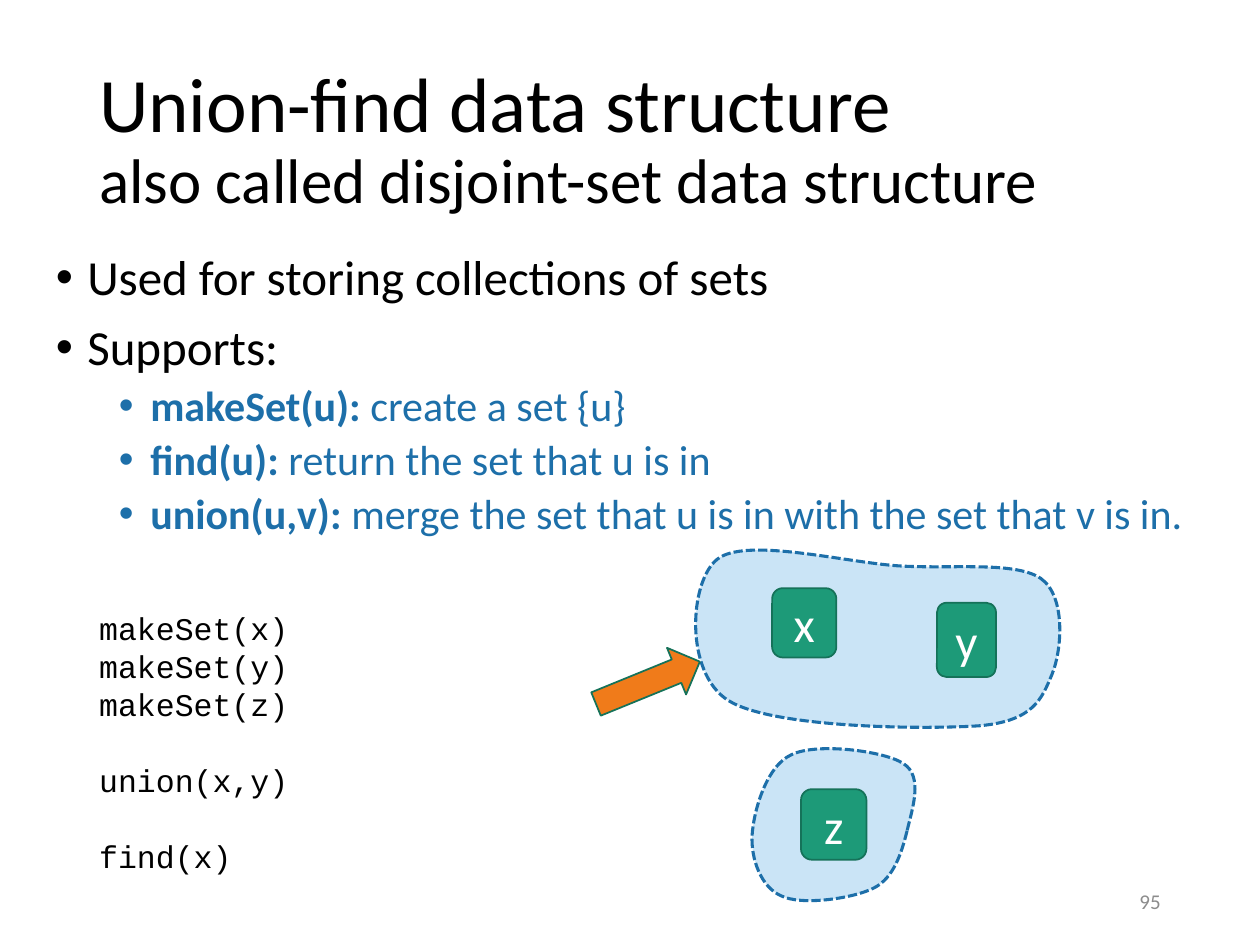
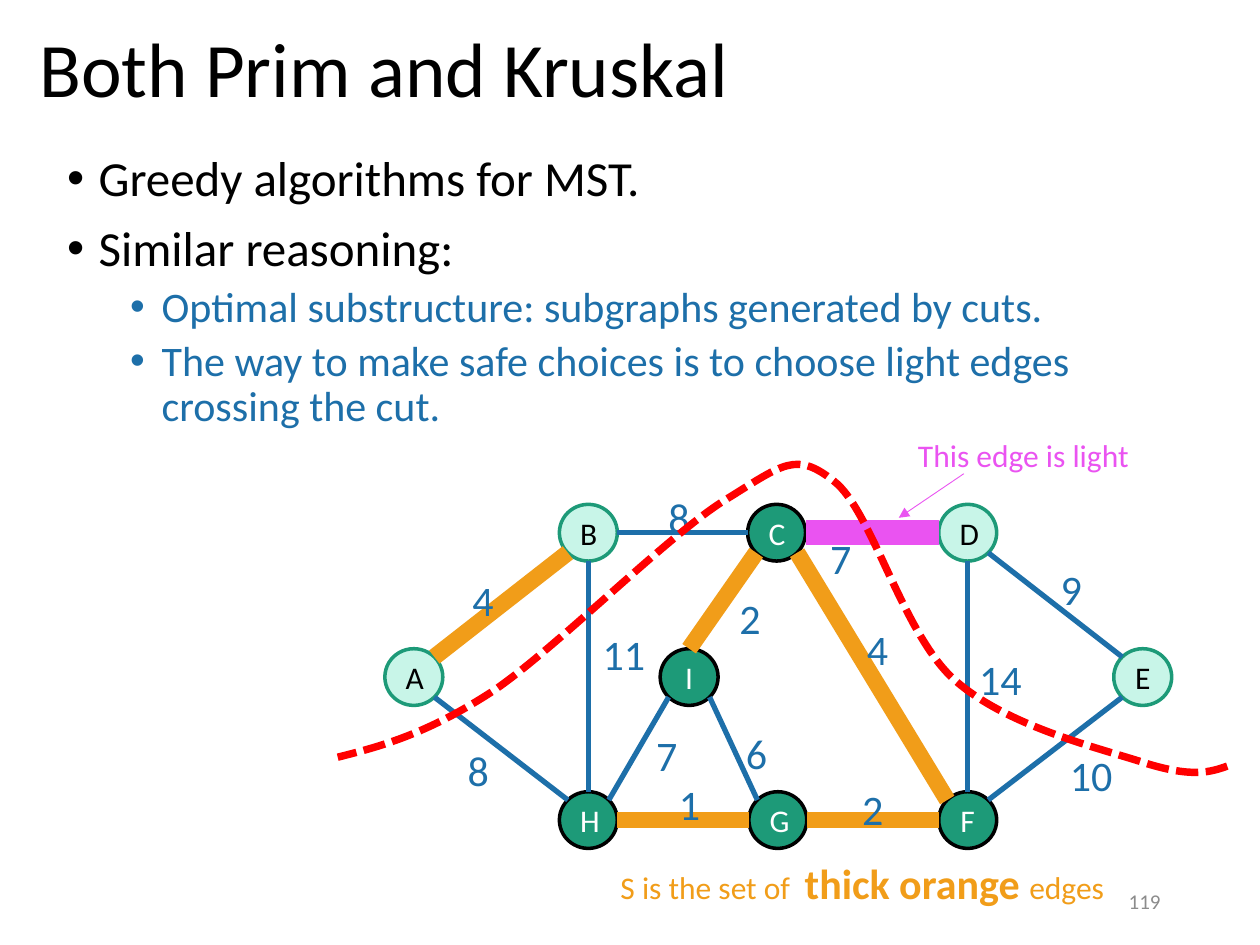
from math import sqrt

from lxml.etree import SubElement
from pptx import Presentation
from pptx.dml.color import RGBColor
from pptx.enum.dml import MSO_LINE
from pptx.enum.shapes import MSO_CONNECTOR, MSO_SHAPE
from pptx.enum.text import MSO_ANCHOR as ANCHOR, PP_ALIGN as ALIGN
from pptx.oxml.ns import qn
from pptx.util import Pt

BLACK, WHITE, GRAY = "000000", "FFFFFF", "8C8C8C"
BLUE, PALE_BLUE = "1D6FA9", "CAE4F6"
GREEN, DARK_GREEN, MINT = "1D9A78", "157259", "C8F5E8"
ORANGE, ARROW_ORANGE, PINK, RED = "F19D19", "F07B1A", "EA53F1", "FF0000"
FONT, CODE_FONT = "Calibri", "Courier New"

# Bullets: (level, [(text, bold), ...])
UNION_FIND = {
    "title": [("Union-find data structure\n", 44), ("also called disjoint-set data structure", 36)],
    "title_box": (49.6, 28.8, 620.6, 104.4),
    "bullets": [
        (0, [("Used for storing collections of sets", False)]),
        (0, [("Supports:", False)]),
        (1, [("makeSet(u): ", True), ("create a set {u}", False)]),
        (1, [("find(u): ", True), ("return the set that u is in", False)]),
        (1, [("union(u,v): ", True),
             ("merge the set that u is in with the set that v is in.", False)]),
    ],
    "body_box": (24.8, 141.1, 670.3, 342.7),
    "number": "95",
}
PRIM_KRUSKAL = {
    "title": [("Both Prim and Kruskal", 44)],
    "title_box": (15.4, -10.8, 620.6, 104.4),
    "bullets": [
        (0, [("Greedy algorithms for MST.", False)]),
        (0, [("Similar reasoning:", False)]),
        (1, [("Optimal substructure: subgraphs generated by cuts.", False)]),
        (1, [("The way to make safe choices is to choose light edges crossing the cut.", False)]),
    ],
    "body_box": (31.3, 84.5, 635, 342.7),
    "number": "119",
}
NUMBER_BOX = (508.3, 500.4, 162, 28.8)

CODE_BLOCKS = [["makeSet(x)", "makeSet(y)", "makeSet(z)"], ["union(x,y)"], ["find(x)"]]
CODE_BOX = (49.6, 344.2, 283, 159.8)
CODE_LINE = 21.7
MEMBERS = {
    "x": (441.2, 336.1, 36.7, 39.6),
    "y": (535.4, 344.4, 33.8, 42.5),
    "z": (457.7, 451, 37.4, 40.3),
}
POINTER_BOX, POINTER_ANGLE = (338.2, 375.8, 64.1, 28.8), 337.8

# Curves: a start point, then two control points and an end point per piece
SET_XY = [
    (594.7, 330.5),
    (609.1, 340.6), (607, 370.8), (601.2, 385.2),
    (595.4, 398.9), (591.1, 411.8), (560.2, 414.7),
    (529.2, 416.9), (441.4, 416.2), (416.2, 400.3),
    (391, 384.5), (393.8, 332.6), (409.7, 319.7),
    (425.5, 306.7), (481.7, 321.1), (512.6, 323.3),
    (542.9, 325.4), (579.6, 320.4), (594.7, 330.5),
]
SET_Z = [
    (518.4, 474.5),
    (521.3, 462.2), (527.8, 443.5), (516.2, 436.3),
    (505.4, 429.1), (466.6, 424.1), (452.2, 431.3),
    (437.8, 437.8), (430.6, 463.7), (429.8, 477.4),
    (429.1, 491), (434.9, 506.9), (446.4, 511.9),
    (457.9, 517.7), (487.4, 513.4), (499, 507.6),
    (511.2, 501.8), (515.5, 486), (518.4, 474.5),
]
CUT = [
    (701.3, 437.8),
    (691.2, 441.4), (681.1, 444.2), (655.2, 436.3),
    (629.3, 427.7), (575.3, 415.4), (545, 388.1),
    (515.5, 361.4), (498.2, 291.6), (476.6, 275),
    (455, 257.8), (447.8, 265), (415.4, 285.1),
    (383, 304.6), (319, 369.4), (282.2, 394.6),
    (244.8, 419), (218.9, 426.2), (193, 432.7),
]

TOP, MIDDLE, BOTTOM = 304.4, 386.9, 468.6
NODES = {
    "D": (553, TOP), "C": (443.8, TOP), "B": (336.2, TOP),
    "A": (236.5, MIDDLE), "I": (393.8, MIDDLE), "E": (653, MIDDLE),
    "H": (336.2, BOTTOM), "G": (444.5, BOTTOM), "F": (553, BOTTOM),
}
DARK_SIDE = "CIHGF"
NODE_W, NODE_H = 33.1, 32.4
EDGE_STYLES = {"plain": (BLUE, 3), "chosen": (ORANGE, 9.5), "light": (PINK, 14)}
# (node, side, node, side, style, weight, weight position)
EDGES = [
    ("C", "se", "F", "nw", "chosen", "4", (488.2, 352.8)),
    ("C", "e", "D", "w", "light", "7", (467.3, 301)),
    ("E", "nw", "D", "se", "plain", "9", (599, 318.4)),
    ("E", "sw", "F", "ne", "plain", "10", (604.3, 424.8)),
    ("D", "s", "F", "n", "plain", "14", (552.4, 370.1)),
    ("I", "se", "G", "nw", "plain", "6", (419.2, 412.4)),
    ("G", "e", "F", "w", "chosen", "2", (485.5, 444.2)),
    ("I", "n", "C", "sw", "chosen", "2", (415.4, 334.8)),
    ("B", "e", "C", "w", "plain", "8", (374.9, 277.2)),
    ("A", "ne", "B", "sw", "chosen", "4", (262.8, 324.7)),
    ("A", "se", "H", "nw", "plain", "8", (260.1, 421.9)),
    ("G", "w", "H", "e", "chosen", "1", (380.9, 441.6)),
    ("I", "sw", "H", "ne", "plain", "7", (367.9, 413.3)),
    ("H", "n", "B", "s", "plain", "11", (337.2, 355.7)),
]
WEIGHT_SIZE = (46.8, 26.6)
# (text, size, bold, extra letter spacing)
LEGEND = [
    ("S is the set of", 18, False, 0),
    (" ", 18, False, 4.1),
    ("thick orange ", 24, True, 0),
    ("edges", 18, False, 0),
]
LEGEND_BOX = (347.5, 486.7, 357.8, 36)
LIGHT_NOTE, LIGHT_BOX = "This edge is light", (517.5, 245.5, 196.6, 28.8)
LIGHT_ARROW = (550.8, 270.7), (513.6, 295.9)


def rgb(color):
    return RGBColor.from_string(color)


def pts(values):
    return [Pt(v) for v in values]


def add_run(p, text, size, color=BLACK, bold=False, font=FONT):
    """Add a run; a newline at its end becomes a line break."""
    r = p.add_run()
    r.text = text.rstrip("\n")
    for name, value in {"name": font, "size": Pt(size), "bold": bold}.items():
        setattr(r.font, name, value)
    r.font.color.rgb = rgb(color)
    if text.endswith("\n"):
        p.add_line_break()
    return r


def add_box(s, box, anchor=ANCHOR.TOP):
    tf = s.shapes.add_textbox(*pts(box)).text_frame
    tf.word_wrap = True
    tf.vertical_anchor = anchor
    return tf


def add_label(s, box, text, size, color):
    add_run(add_box(s, box).paragraphs[0], text, size, color)


def paragraphs(tf, items):
    """Yield each item with its own paragraph, starting with the empty first one."""
    for i, item in enumerate(items):
        yield (tf.add_paragraph() if i else tf.paragraphs[0]), item


def paint(sp, fill, line, width):
    sp.shadow.inherit = False
    if fill:
        sp.fill.solid()
        sp.fill.fore_color.rgb = rgb(fill)
    else:
        sp.fill.background()
    sp.line.color.rgb = rgb(line)
    sp.line.width = Pt(width)


def add_preset(s, kind, box, fill, line, width, text="", size=18, color=WHITE):
    sp = s.shapes.add_shape(kind, *pts(box))
    paint(sp, fill, line, width)
    if text:
        sp.text_frame.vertical_anchor = ANCHOR.MIDDLE
        p = sp.text_frame.paragraphs[0]
        p.alignment = ALIGN.CENTER
        add_run(p, text, size, color)
    return sp


def add_line(s, start, end, color, width):
    cx = s.shapes.add_connector(MSO_CONNECTOR.STRAIGHT, *pts(start + end))
    cx.line.color.rgb = rgb(color)
    cx.line.width = Pt(width)
    SubElement(cx._element.spPr, qn("a:effectLst"))
    return cx


def trace(points, steps=16):
    """Turn a chain of cubic curves into points along it."""
    traced = [points[0]]
    for i in range(0, len(points) - 1, 3):
        a, b, c, d = points[i:i + 4]
        for k in range(1, steps + 1):
            t = k / steps
            u = 1 - t
            traced.append(tuple(u**3 * a[j] + 3 * u * u * t * b[j] + 3 * u * t * t * c[j]
                                + t**3 * d[j] for j in (0, 1)))
    return traced


def add_dashed_curve(s, points, fill, line, width):
    """Size a freeform by the traced curve, then give it true cubic pieces."""
    start, *rest = [tuple(pts(xy)) for xy in trace(points)]
    builder = s.shapes.build_freeform(*start)
    builder.add_line_segments(rest, close=False)
    sp = builder.convert_to_shape()
    contour = next(sp._element.iter(qn("a:path")))
    del contour[:]
    for i, (x, y) in enumerate(points):
        if i == 0:
            piece = SubElement(contour, qn("a:moveTo"))
        elif i % 3 == 1:
            piece = SubElement(contour, qn("a:cubicBezTo"))
        SubElement(piece, qn("a:pt"), x=str(Pt(x) - sp.left), y=str(Pt(y) - sp.top))
    if fill:
        SubElement(contour, qn("a:close"))
    paint(sp, fill, line, width)
    sp.line.dash_style = MSO_LINE.SQUARE_DOT


def set_bullet(p, level):
    pPr = p._p.get_or_add_pPr()
    pPr.set("marL", str(Pt(18 + 36 * level)))
    pPr.set("indent", str(-Pt(18)))
    SubElement(pPr, qn("a:buFont"), typeface="Arial")
    SubElement(pPr, qn("a:buChar"), char="•")


def add_frame(s, content):
    """Add the title, bullets and slide number."""
    p = add_box(s, content["title_box"], ANCHOR.MIDDLE).paragraphs[0]
    p.line_spacing = 0.9
    for text, size in content["title"]:
        add_run(p, text, size)

    tf = add_box(s, content["body_box"])
    for p, (level, runs) in paragraphs(tf, content["bullets"]):
        set_bullet(p, level)
        p.level = level
        p.line_spacing = 0.9
        p.space_before = Pt(0 if p._p is tf.paragraphs[0]._p else (10, 5)[level])
        for text, bold in runs:
            add_run(p, text, (28, 24)[level], (BLACK, BLUE)[level], bold)

    p = add_box(s, NUMBER_BOX, ANCHOR.MIDDLE).paragraphs[0]
    p.alignment = ALIGN.RIGHT
    add_run(p, content["number"], 12, GRAY)


def site(node, side):
    """Point on a node's outline in a compass direction."""
    x, y = NODES[node]
    dx = ("e" in side) - ("w" in side)
    dy = ("s" in side) - ("n" in side)
    reach = sqrt(dx * dx + dy * dy) * 2
    return x + dx * NODE_W / reach, y + dy * NODE_H / reach


def build_union_find(s):
    for outline in (SET_XY, SET_Z):
        add_dashed_curve(s, outline, PALE_BLUE, BLUE, 1.75)
    add_frame(s, UNION_FIND)
    lines = [(text, b > 0 and i == 0)
             for b, block in enumerate(CODE_BLOCKS) for i, text in enumerate(block)]
    for p, (text, gap) in paragraphs(add_box(s, CODE_BOX), lines):
        p.line_spacing = Pt(CODE_LINE)
        if gap:
            p.space_before = Pt(CODE_LINE)
        add_run(p, text, 18, font=CODE_FONT)
    for name, box in MEMBERS.items():
        add_preset(s, MSO_SHAPE.ROUNDED_RECTANGLE, box, GREEN, DARK_GREEN, 1, name, 28)
    pointer = add_preset(s, MSO_SHAPE.RIGHT_ARROW, POINTER_BOX, ARROW_ORANGE, DARK_GREEN, 1)
    pointer.rotation = POINTER_ANGLE


def build_prim_kruskal(s):
    add_frame(s, PRIM_KRUSKAL)
    for name, (x, y) in NODES.items():
        fill, line, color = (GREEN, BLACK, WHITE) if name in DARK_SIDE else (MINT, GREEN, BLACK)
        box = (x - NODE_W / 2, y - NODE_H / 2, NODE_W, NODE_H)
        add_preset(s, MSO_SHAPE.OVAL, box, fill, line, 2, name, 18, color)
    for a, a_side, b, b_side, style, _, _ in EDGES:
        add_line(s, site(a, a_side), site(b, b_side), *EDGE_STYLES[style])
    for *_, weight, xy in EDGES:
        add_label(s, xy + WEIGHT_SIZE, weight, 24, BLUE)
    add_dashed_curve(s, CUT, None, RED, 4.25)
    p = add_box(s, LEGEND_BOX).paragraphs[0]
    for text, size, bold, spacing in LEGEND:
        r = add_run(p, text, size, ORANGE, bold)
        if spacing:
            r._r.get_or_add_rPr().set("spc", str(round(spacing * 100)))
    add_label(s, LIGHT_BOX, LIGHT_NOTE, 18, PINK)
    arrow = add_line(s, *LIGHT_ARROW, PINK, 0.5)
    SubElement(arrow.line._get_or_add_ln(), qn("a:tailEnd"), type="triangle")


def main():
    prs = Presentation()
    prs.slide_width, prs.slide_height = Pt(720), Pt(540)
    for build in (build_union_find, build_prim_kruskal):
        build(prs.slides.add_slide(prs.slide_layouts[6]))
    prs.save("out.pptx")


if __name__ == "__main__":
    main()
